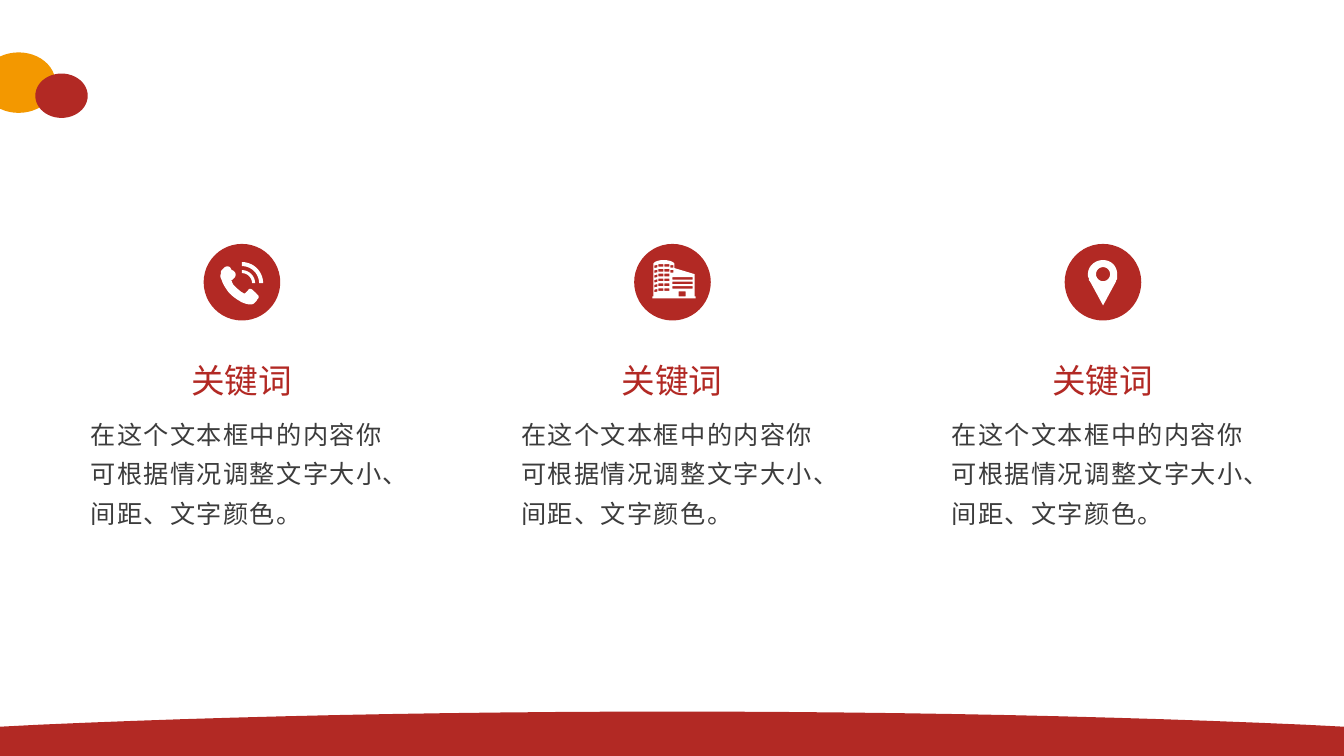
from dataclasses import dataclass
from math import cos, pi, sin

from lxml import etree
from pptx import Presentation
from pptx.dml.color import RGBColor
from pptx.enum.shapes import MSO_SHAPE
from pptx.enum.text import MSO_AUTO_SIZE, PP_ALIGN
from pptx.oxml.ns import qn
from pptx.util import Inches, Pt

OVAL = MSO_SHAPE.OVAL
CENTER = PP_ALIGN.CENTER
LEFT = PP_ALIGN.LEFT
GROW = MSO_AUTO_SIZE.SHAPE_TO_FIT_TEXT
BLANK_LAYOUT = 6


@dataclass(frozen=True)
class Theme:
    red: RGBColor = RGBColor(0xB2, 0x29, 0x24)
    orange: RGBColor = RGBColor(0xF3, 0x98, 0x00)
    white: RGBColor = RGBColor(0xFF, 0xFF, 0xFF)
    ink: RGBColor = RGBColor(0x3C, 0x3C, 0x3C)
    keyword_font: str = "Noto Sans CJK SC"
    body_font: str = "Arial"
    keyword_size: int = 24
    body_size: int = 18


THEME = Theme()
KEYWORD = "关键词"
BODY = "在这个文本框中的内容你可根据情况调整文字大小、间距、文字颜色。"
FIRST_CENTER, COLUMN_PITCH, ICON_MIDDLE = 2.4, 4.27, 2.8
DISC_SIZE = 0.76
CURVE_STEPS = 12

HANDSET = [
    (-20, -2), (-21, -4, -22, -6, -21, -8), (-21, -10, -21, -11, -20, -12),
    (-19, -13, -18, -14, -17, -15), (-15, -16, -14, -16, -12, -15),
    (-11, -14, -11, -13, -10, -12), (-9, -12, -8, -11, -7, -10),
    (-6, -8, -6, -7, -7, -5), (-8, -4, -9, -3, -10, -2),
    (-11, -2, -11, -2, -10, -1), (-10, 0, -9, 2, -8, 3),
    (-5, 6, -3, 8, 0, 10), (1, 10, 1, 11, 2, 11), (2, 11, 3, 11, 3, 11),
    (4, 10, 5, 9, 6, 8), (7, 6, 9, 6, 11, 8), (12, 9, 14, 11, 16, 13),
    (17, 14, 17, 16, 15, 17), (15, 18, 14, 19, 13, 20),
    (11, 22, 10, 22, 8, 22), (5, 22, 3, 21, 0, 20),
    (-5, 17, -10, 14, -14, 9), (-16, 6, -19, 2, -20, -2),
]
BUILDING_OUTLINE = [
    (23, 14), (22, 14), (22, -8), (2, -14), (2, -18),
    (2, -20, -3, -22, -9, -22), (-14, -22, -19, -20, -19, -18),
    (-19, 14), (-20, 14), (-20, 16), (23, 16),
]
PIN_OUTLINE = [
    (0, -22), (-8, -22, -15, -16, -15, -8), (-15, -6, -15, -5, -14, -4),
    (-14, -3, -14, -3, -14, -2), (-13, -1), (0, 23), (13, -1), (13, -2),
    (14, -3, 14, -3, 14, -4), (14, -5, 14, -6, 14, -8),
    (14, -16, 8, -22, 0, -22),
]
FOOTER_BAND = [
    (667, 706), (899, 706, 1115, 711, 1294, 719), (1333, 721), (1333, 750),
    (0, 750), (0, 721), (39, 719), (218, 711, 434, 706, 667, 706),
]


def arc(x, y, radius, start, end):
    angles = [start + (end - start) * step / 24 for step in range(25)]
    return [(x + radius * cos(angle), y + radius * sin(angle)) for angle in angles]


def quarter_wave(outer, inner):
    return arc(0, 1, outer, -pi / 2, 0) + arc(0, 1, inner, 0, -pi / 2)


def pane(left, top, right, bottom, slant=0):
    return [(left, top + slant), (right, top), (right, bottom), (left, bottom + slant)]


def phone_icon():
    return [HANDSET, quarter_wave(21, 17), quarter_wave(13, 10)]


def building_icon():
    contours = [BUILDING_OUTLINE]
    window_columns = [(-18, -15, -17.3, 6, 0.7), (-14, -9, -18, 6, 0),
                      (-8, -3, -18, 6, 0), (-2, 1, -17, 2, 0)]
    for left, right, first_top, rows, slant in window_columns:
        for row in range(rows):
            top = first_top + 4.8 * row
            contours.append(pane(left, top, right, top + 2.6, slant))
    for row in range(3):
        top = -5 + 4.5 * row
        contours.append(pane(0, top, 20, top + 2.5))
    contours.append(pane(6, 9, 13, 14))
    return contours


def pin_icon():
    return [PIN_OUTLINE, arc(0, -8, 7, 0, 2 * pi)]


def flatten(contour):
    points = []
    for item in contour:
        if len(item) == 2:
            points.append(item)
            continue
        start = points[-1]
        controls = [start, item[:2], item[2:4], item[4:]]
        for step in range(1, CURVE_STEPS + 1):
            t = step / CURVE_STEPS
            weights = ((1 - t) ** 3, 3 * t * (1 - t) ** 2, 3 * t * t * (1 - t), t ** 3)
            points.append(tuple(
                sum(weight * point[axis] for weight, point in zip(weights, controls))
                for axis in (0, 1)))
    return points


def paint(shape, color):
    shape.shadow.inherit = False
    shape.fill.solid()
    shape.fill.fore_color.rgb = color
    shape.line.fill.background()


def add_outline(page, contours, color, x=0, y=0):
    builder = None
    for contour in contours:
        points = [(Inches(x + across / 100), Inches(y + down / 100))
                  for across, down in flatten(contour)]
        if builder is None:
            builder = page.shapes.build_freeform(*points[0], scale=1.0)
        else:
            builder.move_to(*points[0])
        builder.add_line_segments(points[1:], close=True)
    paint(builder.convert_to_shape(), color)


def add_oval(page, left, top, width, height, color):
    oval = page.shapes.add_shape(
        OVAL, Inches(left), Inches(top), Inches(width), Inches(height))
    paint(oval, color)


def add_text(page, left, top, width, height, text, font_name, size, color,
             align=LEFT, wrap=True, line_spacing=None, tracking=0):
    box = page.shapes.add_textbox(
        Inches(left), Inches(top), Inches(width), Inches(height))
    box.text_frame.word_wrap = wrap
    box.text_frame.auto_size = GROW
    para = box.text_frame.paragraphs[0]
    para.alignment = align
    para.line_spacing = line_spacing
    span = para.add_run()
    span.text = text
    span.font.name = font_name
    span.font.size = Pt(size)
    span.font.color.rgb = color
    properties = span._r.get_or_add_rPr()
    properties.set("spc", str(tracking * 100))
    etree.SubElement(properties, qn("a:ea")).set("typeface", font_name)


def add_column(page, center, icon):
    add_oval(page, center - DISC_SIZE / 2, ICON_MIDDLE - DISC_SIZE / 2,
             DISC_SIZE, DISC_SIZE, THEME.red)
    add_outline(page, icon, THEME.white, center, ICON_MIDDLE)
    add_text(page, center - 1.6, 4.02, 3.19, 1.39, BODY, THEME.body_font,
             THEME.body_size, THEME.ink, line_spacing=1.3, tracking=1)
    add_text(page, center - 0.61, 3.52, 1.21, 0.5, KEYWORD, THEME.keyword_font,
             THEME.keyword_size, THEME.red, align=CENTER, wrap=False)


def main():
    deck = Presentation()
    deck.slide_width, deck.slide_height = Inches(13.33), Inches(7.5)
    page = deck.slides.add_slide(deck.slide_layouts[BLANK_LAYOUT])
    add_oval(page, -0.18, 0.52, 0.73, 0.6, THEME.orange)
    add_oval(page, 0.35, 0.73, 0.52, 0.44, THEME.red)
    add_outline(page, [FOOTER_BAND], THEME.red)
    for index, icon in enumerate((phone_icon(), building_icon(), pin_icon())):
        add_column(page, FIRST_CENTER + COLUMN_PITCH * index, icon)
    deck.save("out.pptx")


if __name__ == "__main__":
    main()
